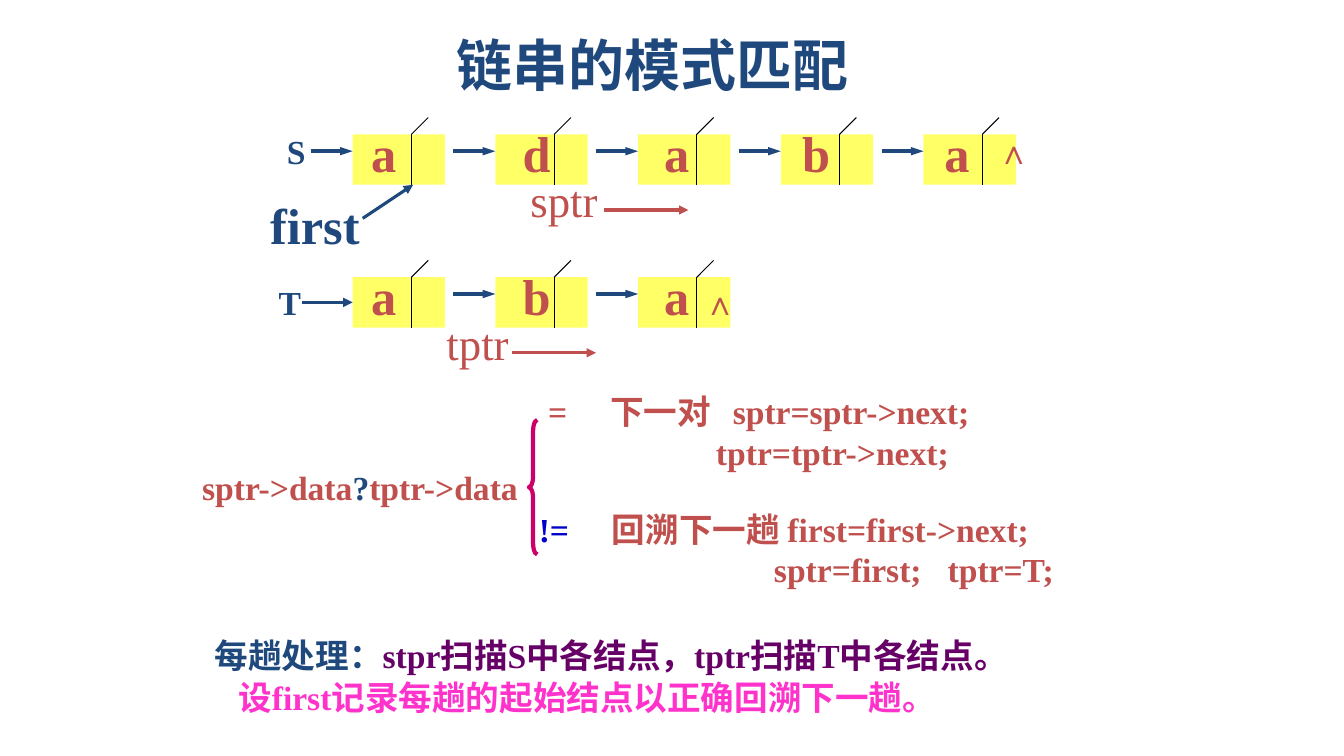
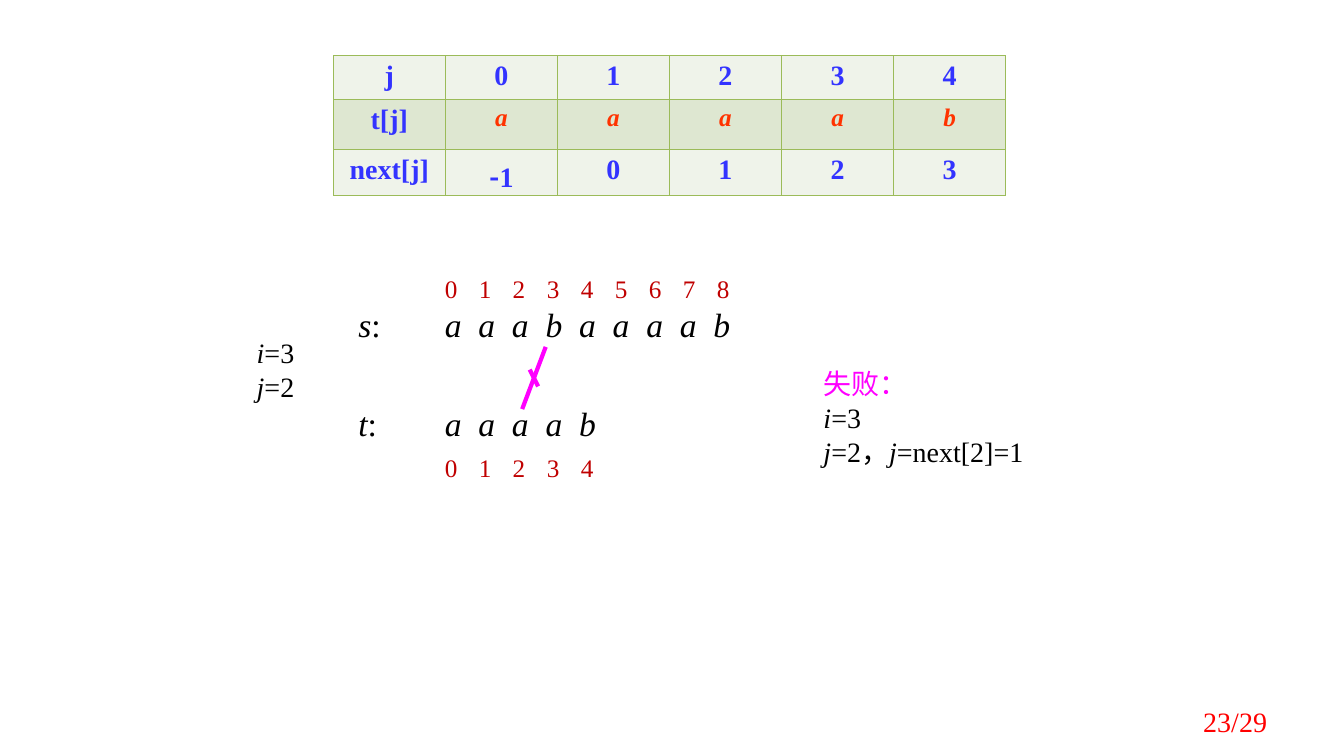
"""Build two slides on pattern matching in linked strings."""
from dataclasses import dataclass
from typing import Any

import pptx
import pptx.dml.color
import pptx.enum.shapes
import pptx.enum.text
import pptx.oxml
import pptx.oxml.ns
import pptx.util
from lxml import etree

ALIGN = pptx.enum.text.PP_ALIGN
ANCHOR = pptx.enum.text.MSO_ANCHOR
SHAPES = pptx.enum.shapes.MSO_SHAPE
qn = pptx.oxml.ns.qn

NAVY, RED, YELLOW, BLACK = "1F497D", "C0504D", "FFFF66", "000000"
BLUE, MAGENTA, DIGIT_RED = "3333FF", "FF00FF", "C00000"
SERIF, SANS, CHINESE = "Times New Roman", "Arial", "Noto Sans CJK SC"

CELLS_PER_INCH = 12
FIRST_NODE, NODE_PITCH, NODE_WIDTH, NODE_HEIGHT = 42, 17, 11, 6
DIVIDER = 7
LETTER_CENTRES = (3.7, 4.9, 4.6, 4.2, 4)


@dataclass(frozen=True)
class Span:
    text: str
    color: str = ""
    italic: bool = False
    font: str = ""


@dataclass(frozen=True)
class Label:
    left: float
    top: float
    width: float
    height: float
    lines: tuple[tuple[Span, ...], ...]
    size: float = 24
    color: str = RED
    bold: bool = True
    font: str = SERIF
    stops: tuple[tuple[float, ...], ...] = ()
    align: Any = ALIGN.LEFT
    anchor: Any = ANCHOR.TOP


@dataclass(frozen=True)
class Arrow:
    start: tuple[float, float]
    end: tuple[float, float]
    color: str = NAVY
    weight: float = 2.25
    head: bool = True


@dataclass(frozen=True)
class Chain:
    name: str
    letters: str
    top: float
    name_at: tuple[float, float]
    lead: Arrow
    end_at: tuple[float, float]


def grid(count: float) -> int:
    return pptx.util.Inches(count / CELLS_PER_INCH)


def rgb(color: str) -> pptx.dml.color.RGBColor:
    return pptx.dml.color.RGBColor.from_string(color)


def line_of(*spans: Span) -> tuple[Span, ...]:
    return spans


def single(text: str) -> tuple[tuple[Span, ...], ...]:
    return ((Span(text),),)


def even_stops(count: int, pitch: float) -> tuple[tuple[float, ...], ...]:
    return (tuple(pitch * step for step in range(1, count)),)


def add_stops(para: Any, stops: tuple[float, ...]) -> None:
    tabs = etree.SubElement(para._p.get_or_add_pPr(), qn("a:tabLst"))
    for stop in stops:
        etree.SubElement(tabs, qn("a:tab"), pos=str(grid(stop)), algn="l")


def write_line(para: Any, spans: tuple[Span, ...], size: float, color: str,
               bold: bool, font: str = SERIF) -> None:
    para.font.size = pptx.util.Pt(size)
    para.font.bold = bold
    para.font.name = font
    para.font.color.rgb = rgb(color)
    for span in spans:
        run = para.add_run()
        run.text = span.text
        if span.color:
            run.font.color.rgb = rgb(span.color)
        if span.italic:
            run.font.italic = True
        if span.font:
            run.font.name = span.font


def fill_label(box: Any, label: Label) -> None:
    box.left, box.top = grid(label.left), grid(label.top)
    box.width, box.height = grid(label.width), grid(label.height)
    frame = box.text_frame
    frame.word_wrap = True
    frame.vertical_anchor = label.anchor
    for index, spans in enumerate(label.lines):
        para = frame.add_paragraph() if index else frame.paragraphs[0]
        para.alignment = label.align
        if label.stops:
            add_stops(para, label.stops[index])
        write_line(para, spans, label.size, label.color, label.bold, label.font)


def add_label(page: Any, label: Label) -> None:
    fill_label(page.shapes.add_textbox(0, 0, 0, 0), label)


def add_arrow(page: Any, arrow: Arrow) -> None:
    points = [grid(value) for value in (*arrow.start, *arrow.end)]
    line = page.shapes.add_connector(pptx.enum.shapes.MSO_CONNECTOR.STRAIGHT, *points)
    line.line.color.rgb = rgb(arrow.color)
    line.line.width = pptx.util.Pt(arrow.weight)
    properties = line.element.spPr
    if arrow.head:
        width = "sm" if arrow.weight >= 3 else "med"
        etree.SubElement(properties.find(qn("a:ln")), qn("a:tailEnd"),
                         type="triangle", w=width, len="med")
    etree.SubElement(properties, qn("a:effectLst"))


def add_chain(page: Any, chain: Chain) -> None:
    top = chain.top
    for index, (letter, centre) in enumerate(zip(chain.letters, LETTER_CENTRES)):
        left = FIRST_NODE + NODE_PITCH * index
        divider = left + DIVIDER
        node = page.shapes.add_shape(SHAPES.RECTANGLE, grid(left), grid(top),
                                     grid(NODE_WIDTH), grid(NODE_HEIGHT))
        node.shadow.inherit = False
        node.fill.solid()
        node.fill.fore_color.rgb = rgb(YELLOW)
        node.line.fill.background()
        for end in ((divider, top + NODE_HEIGHT), (divider + 2, top - 2)):
            add_arrow(page, Arrow((divider, top), end, BLACK, 0.75, False))
        if index:
            add_arrow(page, Arrow((left - 5, top + 2), (left, top + 2), weight=3))
        add_label(page, Label(left + centre - 4, top - 2, 8, 8.4, single(letter), 36,
                              align=ALIGN.CENTER))
    add_arrow(page, chain.lead)
    add_label(page, Label(*chain.name_at, 5, 6, single(chain.name), color=NAVY))
    add_label(page, Label(*chain.end_at, 7, 6, single("∧"), font=SANS))


def add_brace(page: Any) -> None:
    brace = page.shapes.add_shape(SHAPES.LEFT_BRACE, grid(63), grid(50), grid(1), grid(16))
    brace.adjustments[0] = 1.33
    brace.shadow.inherit = False
    brace.fill.background()
    brace.line.color.rgb = rgb("CC0066")
    brace.line.width = pptx.util.Pt(3)


def build_matching(page: Any) -> None:
    fill_label(page.shapes.title, Label(42.7, 3, 70, 9.2, single("链串的模式匹配"), 40, NAVY,
                                        align=ALIGN.CENTER, anchor=ANCHOR.MIDDLE))
    chains = (
        Chain("S", "adaba", 16, (33, 15), Arrow((37, 18), (42, 18), weight=3), (117.6, 15)),
        Chain("T", "aba", 33, (32, 33), Arrow((36, 36), (42, 36)), (82.6, 33)),
    )
    for chain in chains:
        add_chain(page, chain)
    labels = (
        Label(62, 20, 12, 7.7, single("sptr"), 32, bold=False),
        Label(52, 37, 12, 7.7, single("tptr"), 32, bold=False),
        Label(31, 22.5, 15, 8.4, single("first"), 36, NAVY),
        Label(24.4, 75, 108, 6, (line_of(
            Span("每趟处理："), Span("stpr扫描S中各结点，tptr扫描T中各结点。", "660066")),),
            color=NAVY),
        Label(27.2, 80, 92, 6, single("设first记录每趟的起始结点以正确回溯下一趟。"),
              color="FF33CC"),
        Label(22.9, 55, 42, 6, (line_of(
            Span("sptr->data"), Span("?", NAVY), Span("tptr->data")),)),
        Label(64.1, 46, 56, 10.8, (
            line_of(Span("=\t下一对\tsptr=sptr->next;")),
            line_of(Span("\ttptr=tptr->next;"))), stops=((7.4, 22), (20,))),
        Label(63, 60, 68, 10.8, (
            line_of(Span("!=\t", "0000CC"), Span("回溯下一趟 first=first->next;")),
            line_of(Span("\tsptr=first;\ttptr=T;"))), stops=((8.7,), (28, 48.7))),
    )
    for label in labels:
        add_label(page, label)
    arrows = (
        Arrow((72, 25), (82, 25), RED),
        Arrow((61, 42), (71, 42), RED),
        Arrow((43.2, 26), (49.2, 22)),
    )
    for arrow in arrows:
        add_arrow(page, arrow)
    add_brace(page)


def add_cell_borders(cell: Any) -> None:
    properties = cell._tc.get_or_add_tcPr()
    for index, side in enumerate(("lnL", "lnR", "lnT", "lnB")):
        border = etree.Element(qn("a:" + side), w=str(pptx.util.Pt(0.45)))
        fill = etree.SubElement(border, qn("a:solidFill"))
        etree.SubElement(fill, qn("a:srgbClr"), val="9BBB59")
        properties.insert(index, border)


def add_next_table(page: Any) -> None:
    rows = (("j", *"01234"), ("t[j]", *"aaaab"), ("next[j]", "-1", *"0123"))
    heights = (5.2, 6, 5.2)
    column_width = 13.35
    frame = page.shapes.add_table(len(rows), len(rows[0]), grid(39.7), grid(6.6),
                                  grid(column_width * len(rows[0])), grid(sum(heights)))
    table = frame.table
    table.first_row = table.horz_banding = False
    for column in table.columns:
        column.width = grid(column_width)
    for row, (texts, height) in enumerate(zip(rows, heights)):
        table.rows[row].height = grid(height)
        for column, text in enumerate(texts):
            cell = table.cell(row, column)
            cell.margin_bottom = 0
            cell.fill.solid()
            cell.fill.fore_color.rgb = rgb("DEE7D1" if row == 1 else "EFF3EA")
            add_cell_borders(cell)
            para = cell.text_frame.paragraphs[0]
            para.alignment = ALIGN.CENTER
            pattern = row == 1 and column > 0
            spans = line_of(Span(text, italic=pattern))
            if text.startswith("-"):
                spans = line_of(Span("-", font=CHINESE), Span(text[1:]))
            write_line(para, spans, 18 if pattern else 20, "FF3300" if pattern else BLUE, True)


def add_string(page: Any, name: str, letters: str, top: float, digits_top: float) -> None:
    count = len(letters)
    add_label(page, Label(41.5, top, 8.4, 6, (line_of(Span(name, italic=True), Span(":")),),
                          color=BLACK, bold=False))
    add_label(page, Label(51.8, top, 42, 6, (line_of(Span("\t".join(letters), italic=True)),),
                          color=BLACK, bold=False, stops=even_stops(count, 4)))
    digits = "\t".join(str(index) for index in range(count))
    add_label(page, Label(51.8, digits_top, 42, 4.8, single(digits), 18, DIGIT_RED, False,
                          stops=even_stops(count, 4.05)))


def build_failure(page: Any) -> None:
    add_next_table(page)
    add_string(page, "s", "aaabaaaab", 35.6, 31.9)
    add_string(page, "t", "aaaab", 47.4, 53.3)
    i_value = line_of(Span("i", italic=True), Span("=3"))
    j_name = Span("j", italic=True)
    labels = (
        Label(29.4, 39.4, 9.4, 9.2, (i_value, line_of(j_name, Span("=2"))), 20, BLACK, False),
        Label(96.9, 43.1, 32, 13.2, (
            line_of(Span("失败：", MAGENTA, font=CHINESE)), i_value,
            line_of(j_name, Span("=2，"), j_name, Span("=next[2]=1"))), 20, BLACK, False),
        Label(114.8, 83.5, 37.3, 4.8, single("23/29"), 20, "FF0000", False,
              align=ALIGN.RIGHT, anchor=ANCHOR.MIDDLE),
    )
    for label in labels:
        add_label(page, label)
    for start, end in (((65, 41.3), (62.2, 48.7)), ((63.1, 44), (64.1, 46))):
        add_arrow(page, Arrow(start, end, MAGENTA, 3, False))


def main() -> None:
    deck = pptx.Presentation()
    deck.slide_width = pptx.util.Inches(13.34)
    deck.slide_height = pptx.util.Inches(7.5)
    build_matching(deck.slides.add_slide(deck.slide_layouts[5]))
    build_failure(deck.slides.add_slide(deck.slide_layouts[6]))
    deck.save("out.pptx")


if __name__ == "__main__":
    main()
